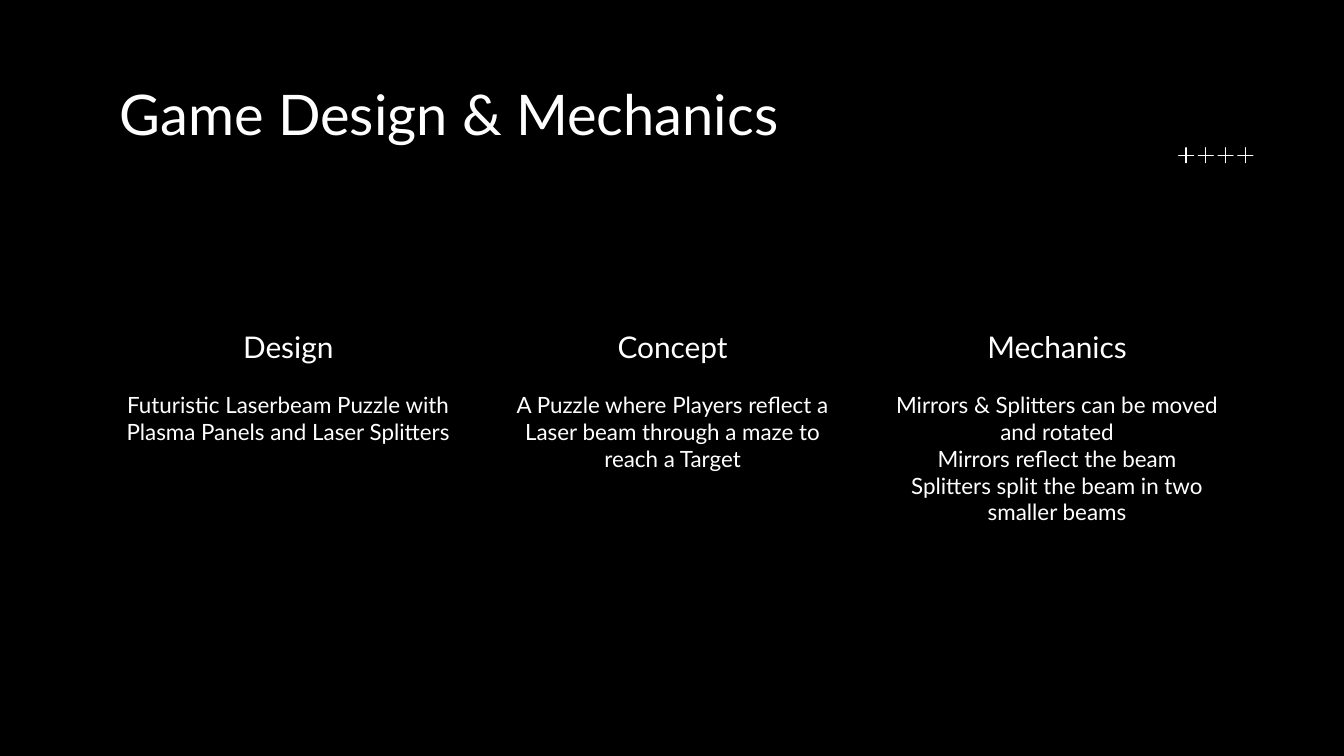
"""Build the game design and mechanics slide with three text columns."""
from pptx import Presentation
from pptx.dml.color import RGBColor
from pptx.enum import shapes, text
from pptx.util import Inches, Pt

TITLE = "Game Design & Mechanics"
COLUMNS = [
    ("Design", ["Futuristic Laserbeam Puzzle with Plasma Panels and Laser Splitters"]),
    ("Concept", ["A Puzzle where Players reflect a Laser beam through a maze to reach a Target"]),
    ("Mechanics", [
        "Mirrors & Splitters can be moved and rotated",
        "Mirrors reflect the beam",
        "Splitters split the beam in two smaller beams",
    ]),
]
COLORS = {"background": "000000", "foreground": "FFFFFF"}
FONT = "Lato"
SLIDE_WIDTH = 10
COLUMN_LEFT, COLUMN_STEP, COLUMN_WIDTH = 0.8, 2.86, 2.69
HEADING_TOP, HEADING_HEIGHT, BODY_HEIGHT = 2.22, 0.59, 1.15
PLUS_COUNT, PLUS_LEFT, PLUS_TOP, PLUS_SIZE = 4, 8.75, 1.08, 0.15


def color(name):
    return RGBColor.from_string(COLORS[name])


def place(box, left, top, width, height):
    box.left, box.top = Inches(left), Inches(top)
    box.width, box.height = Inches(width), Inches(height)


def write(box, lines, size, align, anchor):
    frame = box.text_frame
    frame.word_wrap = True
    frame.auto_size = text.MSO_AUTO_SIZE.NONE
    frame.vertical_anchor = anchor
    frame.margin_left = frame.margin_right = Inches(0.1)
    frame.margin_top = frame.margin_bottom = Inches(0.1)
    for index, line in enumerate(lines):
        para = frame.add_paragraph() if index else frame.paragraphs[0]
        para.alignment = align
        span = para.add_run()
        span.text = line
        span.font.name = FONT
        span.font.size = Pt(size)
        span.font.color.rgb = color("foreground")


def add_text(page, left, top, height, lines, size, anchor):
    box = page.shapes.add_textbox(0, 0, 0, 0)
    place(box, left, top, COLUMN_WIDTH, height)
    write(box, lines, size, text.PP_ALIGN.CENTER, anchor)


def add_pluses(page):
    group = page.shapes.add_group_shape()
    for index in range(PLUS_COUNT):
        plus = group.shapes.add_shape(
            shapes.MSO_SHAPE.MATH_PLUS,
            Inches(PLUS_LEFT + index * PLUS_SIZE * 0.98), Inches(PLUS_TOP),
            Inches(PLUS_SIZE), Inches(PLUS_SIZE))
        plus.adjustments[0] = 0
        plus.shadow.inherit = False
        plus.fill.solid()
        plus.fill.fore_color.rgb = color("foreground")
        plus.line.color.rgb = color("foreground")
        plus.line.width = Pt(0.75)


def main():
    deck = Presentation()
    deck.slide_width = Inches(SLIDE_WIDTH)
    deck.slide_height = Inches(SLIDE_WIDTH * 9 / 16)
    page = deck.slides.add_slide(deck.slide_layouts[5])
    page.background.fill.solid()
    page.background.fill.fore_color.rgb = color("background")

    title = page.shapes.title
    place(title, 0.79, 0.49, 8.43, 0.63)
    write(title, [TITLE], 30, text.PP_ALIGN.LEFT, text.MSO_ANCHOR.TOP)

    for index, (heading, lines) in enumerate(COLUMNS):
        left = COLUMN_LEFT + index * COLUMN_STEP
        add_text(page, left, HEADING_TOP, HEADING_HEIGHT, [heading], 16,
                 text.MSO_ANCHOR.BOTTOM)
        add_text(page, left, HEADING_TOP + HEADING_HEIGHT, BODY_HEIGHT, lines, 12,
                 text.MSO_ANCHOR.TOP)

    add_pluses(page)
    deck.save("out.pptx")


if __name__ == "__main__":
    main()
